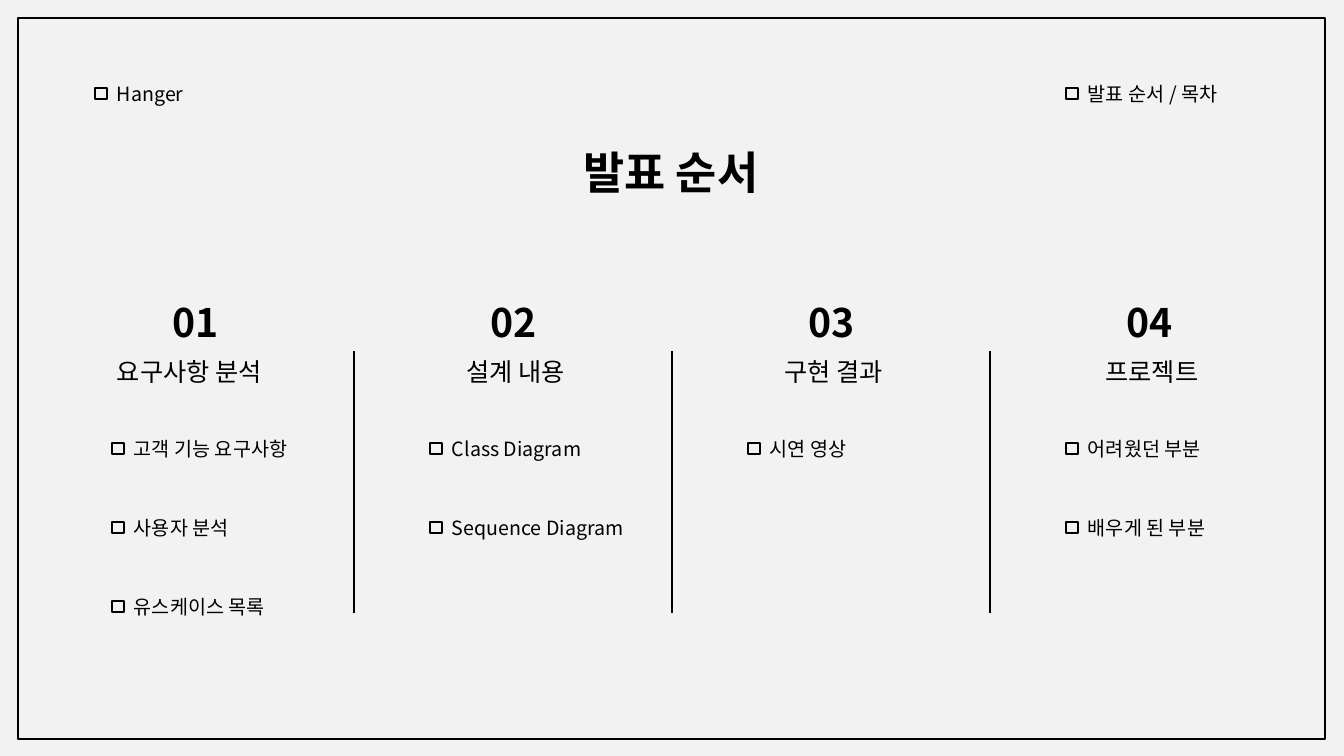
import pptx
import pptx.dml.color
import pptx.enum.shapes
import pptx.enum.text
import pptx.oxml
import pptx.oxml.ns
import pptx.util

RGBColor = pptx.dml.color.RGBColor
SHAPES = pptx.enum.shapes.MSO_SHAPE
ALIGN = pptx.enum.text.PP_ALIGN

INK = RGBColor(0x00, 0x00, 0x00)
PAPER = RGBColor(0xF2, 0xF2, 0xF2)
FONT = "Noto Sans CJK KR"
LINE_WIDTH = pptx.util.Pt(1.5)

COLUMN_LEFT, COLUMN_PITCH = 112, 318
ROW_TOP, ROW_PITCH = 443, 79

# Number, heading, heading alignment, entries
CHAPTERS = [
    ("01", "요구사항 분석", ALIGN.LEFT, ["고객 기능 요구사항", "사용자 분석", "유스케이스 목록"]),
    ("02", "설계 내용", ALIGN.CENTER, ["Class Diagram", "Sequence Diagram"]),
    ("03", "구현 결과", ALIGN.CENTER, ["시연 영상"]),
    ("04", "프로젝트", ALIGN.CENTER, ["어려웠던 부분", "배우게 된 부분"]),
]


def px(length):
    """Turn pixels (100.8 to the inch) into EMU."""
    return pptx.util.Emu(round(length * 914400 / 100.8))


def box(*lengths):
    return [px(length) for length in lengths]


def write(frame, text, size=14, bold=False, align=ALIGN.LEFT):
    frame.word_wrap = True
    frame.auto_size = pptx.enum.text.MSO_AUTO_SIZE.SHAPE_TO_FIT_TEXT
    frame.vertical_anchor = pptx.enum.text.MSO_ANCHOR.TOP
    paragraph = frame.paragraphs[0]
    paragraph.alignment = align
    paragraph.line_spacing = 1.0
    paragraph.space_before = pptx.util.Pt(0)
    run = paragraph.add_run()
    run.text = text
    run.font.size = pptx.util.Pt(size)
    run.font.bold = bold
    run.font.name = FONT
    run.font.color.rgb = INK
    # Hangul takes its typeface from the East Asian slot
    east_asian = pptx.oxml.parse_xml(
        f'<a:ea {pptx.oxml.ns.nsdecls("a")} typeface="{FONT}"/>')
    run.font._element.find(pptx.oxml.ns.qn("a:latin")).addnext(east_asian)


def add_label(slide, text, left, top, width, height, **text_format):
    label = slide.shapes.add_textbox(*box(left, top, width, height))
    write(label.text_frame, text, **text_format)


def add_outline(slide, kind, left, top, width, height):
    outline = slide.shapes.add_shape(kind, *box(left, top, width, height))
    outline.shadow.inherit = False
    outline.fill.background()
    outline.line.color.rgb = INK
    outline.line.width = LINE_WIDTH


def add_checkbox_entry(slide, text, left, top):
    add_outline(slide, SHAPES.RECTANGLE, left, top, 12, 11)
    add_label(slide, text, left + 12, top - 11, 201, 34)


def add_divider(slide, x):
    divider = slide.shapes.add_connector(
        pptx.enum.shapes.MSO_CONNECTOR.STRAIGHT, *box(x, 351, x, 613))
    divider.line.color.rgb = INK
    divider.line.width = LINE_WIDTH
    divider._element.spPr.append(pptx.oxml.parse_xml(
        f'<a:effectLst {pptx.oxml.ns.nsdecls("a")}/>'))


def add_chapter(slide, left, number, heading, align, entries):
    add_label(slide, number, left + 42, 293, 83, 57,
              size=28, bold=True, align=ALIGN.CENTER)
    add_label(slide, heading, left - 5, 351, 182, 40, size=18, align=align)
    for row, entry in enumerate(entries):
        add_checkbox_entry(slide, entry, left, ROW_TOP + row * ROW_PITCH)


def main():
    deck = pptx.Presentation()
    deck.slide_width, deck.slide_height = box(1344, 756)
    slide = deck.slides.add_slide(deck.slide_layouts.get_by_name("Title Only"))
    slide.background.fill.solid()
    slide.background.fill.fore_color.rgb = PAPER

    # Frame and title
    add_outline(slide, SHAPES.FLOWCHART_PROCESS, 18, 18, 1307, 721)
    title = slide.shapes.title
    title.left, title.top, title.width, title.height = box(533, 140, 276, 65)
    write(title.text_frame, "발표 순서", size=32, bold=True, align=ALIGN.CENTER)

    # Header labels
    add_checkbox_entry(slide, "Hanger", 95, 88)
    add_checkbox_entry(slide, "발표 순서 / 목차", 1066, 88)

    # Chapter columns with dividers between them
    for index, chapter in enumerate(CHAPTERS):
        left = COLUMN_LEFT + index * COLUMN_PITCH
        add_chapter(slide, left, *chapter)
        if index < len(CHAPTERS) - 1:
            add_divider(slide, left + 242)

    deck.save("out.pptx")


if __name__ == "__main__":
    main()
